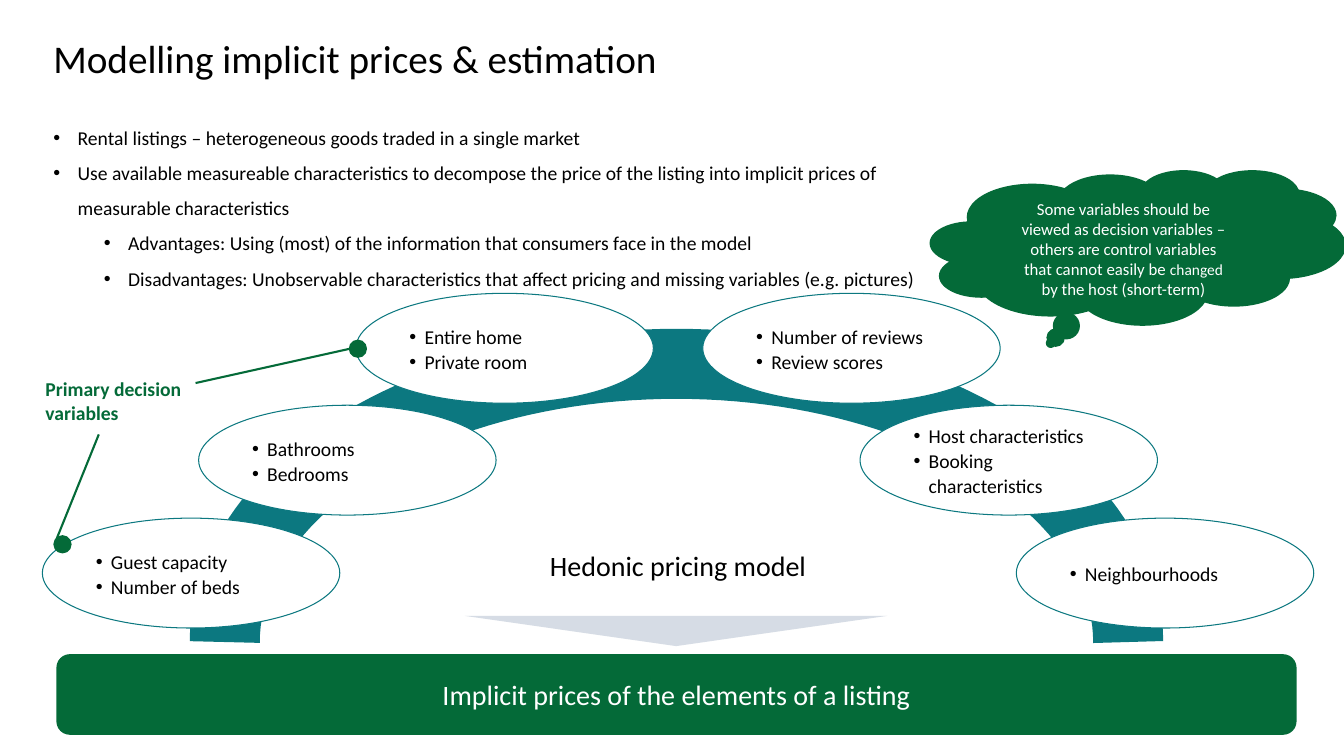
import math
from lxml import etree
from pptx import Presentation
from pptx import util as u
from pptx.dml.color import RGBColor
from pptx.enum import shapes, text
from pptx.oxml import ns

PX = 9144
GREEN, TEAL, GREY, BLACK, WHITE = "046A38", "0C7880", "D6DCE5", "000000", "FFFFFF"
MARGINS = ("margin_left", "margin_top", "margin_right", "margin_bottom")
CENTER = text.PP_ALIGN.CENTER
MIDDLE = text.MSO_ANCHOR.MIDDLE
SHAPE = shapes.MSO_SHAPE
ARCH_CENTER, ARCH_RADII = (671, 637), (448, 276)
MIRROR_SUM = 1345
OVAL_SIZE = (295, 109)
OVAL_PAIRS = [
    (42, 514, ["Guest capacity", "Number of beds"], ["Neighbourhoods"]),
    (197, 402, ["Bathrooms", "Bedrooms"],
     ["Host characteristics", "Booking characteristics"]),
    (353, 291, ["Entire home", "Private room"],
     ["Number of reviews", "Review scores"]),
]
POINTS = [
    ("Rental listings – heterogeneous goods traded in a single market", 24),
    ("Use available measureable characteristics to decompose the price of the "
     "listing into implicit prices of measurable characteristics", 24),
    ("Advantages: Using (most) of the information that consumers face in the model", 74),
    ("Disadvantages: Unobservable characteristics that affect pricing and "
     "missing variables (e.g. pictures)", 74),
]
CALLOUT_RUNS = [
    ("Some variables should be viewed as decision variables – others are control "
     "variables that cannot easily be ", 12),
    ("changed", 11),
    (" by the host (short-term)", 12),
]


def px(*lengths):
    return [u.Emu(length * PX) for length in lengths]


def rgb(code):
    return RGBColor.from_string(code)


def apply(target, formats):
    for name, value in formats.items():
        setattr(target, name, value)


def set_frame(owner, insets, anchor=MIDDLE):
    frame = owner.text_frame
    apply(frame, {"word_wrap": True, "vertical_anchor": anchor,
                  **dict(zip(MARGINS, px(*insets)))})
    return frame


def add_bullet(paragraph, left, hang):
    props = paragraph._p.get_or_add_pPr()
    props.set("marL", str(left * PX))
    props.set("indent", str(-hang * PX))
    etree.SubElement(props, ns.qn("a:buFont")).set("typeface", "Arial")
    etree.SubElement(props, ns.qn("a:buChar")).set("char", "•")


def write(frame, paragraphs, color, size=14, bold=False, hang=0, **layout):
    for index, (runs, left) in enumerate(paragraphs):
        paragraph = frame.paragraphs[0] if index == 0 else frame.add_paragraph()
        if hang:
            add_bullet(paragraph, left, hang)
        apply(paragraph, layout)
        for words, points in ([(runs, size)] if isinstance(runs, str) else runs):
            run = paragraph.add_run()
            run.text = words
            apply(run.font, {"name": "Calibri", "size": u.Pt(points), "bold": bold})
            run.font.color.rgb = rgb(color)


def add_label(slide, box, inset, anchor, paragraphs, color, **formats):
    label = slide.shapes.add_textbox(*px(*box))
    write(set_frame(label, [inset] * 4, anchor), paragraphs, color, **formats)


def paint(part, fill, line=None, width=1):
    part.shadow.inherit = False
    if fill:
        part.fill.solid()
        part.fill.fore_color.rgb = rgb(fill)
    else:
        part.fill.background()
    if line:
        part.line.color.rgb = rgb(line)
        part.line.width = u.Pt(width)
    else:
        part.line.fill.background()


def add_part(slide, kind, box, fill, line=None, width=1):
    part = slide.shapes.add_shape(kind, *px(*box))
    paint(part, fill, line, width)
    return part


def add_arch(slide):
    (cx, cy), (rx, ry) = ARCH_CENTER, ARCH_RADII
    angles = [math.radians(180 - degree) for degree in range(0, 181, 2)]
    curve = [(round((cx + rx * math.cos(a)) * PX), round((cy - ry * math.sin(a)) * PX))
             for a in angles]
    builder = slide.shapes.build_freeform(*curve[0])
    builder.add_line_segments(curve[1:], close=False)
    paint(builder.convert_to_shape(), None, TEAL, 50)


def add_oval(slide, x, y, features):
    oval = add_part(slide, SHAPE.OVAL, (x, y, *OVAL_SIZE), WHITE, TEAL, 0.75)
    write(set_frame(oval, [10] * 4), [(feature, 15) for feature in features], BLACK,
          hang=15, line_spacing=1.06, alignment=text.PP_ALIGN.LEFT)


def add_pointer(slide, dot_corner, start, end):
    add_part(slide, SHAPE.OVAL, (*dot_corner, 16, 16), GREEN, GREEN, 1.5)
    pointer = slide.shapes.add_connector(
        shapes.MSO_CONNECTOR.STRAIGHT, *px(*start, *end))
    pointer.line.color.rgb = rgb(GREEN)
    pointer.line.width = u.Pt(1.5)
    etree.SubElement(pointer._element.spPr, ns.qn("a:effectLst"))


def add_callout(slide):
    cloud = add_part(slide, SHAPE.CLOUD_CALLOUT, (923, 169, 411, 153), GREEN, GREEN)
    cloud.adjustments[0] = -0.21
    cloud.adjustments[1] = 0.62
    write(set_frame(cloud, (29, 10, 28, 0)), [(CALLOUT_RUNS, 0)], WHITE,
          alignment=CENTER)


def add_result_bar(slide):
    bar = add_part(slide, SHAPE.ROUNDED_RECTANGLE, (56, 649, 1230, 80), GREEN)
    write(set_frame(bar, [10] * 4), [("Implicit prices of the elements of a listing", 0)],
          WHITE, size=20, alignment=CENTER)


def main():
    deck = Presentation()
    deck.slide_width, deck.slide_height = px(1333, 750)
    slide = deck.slides.add_slide(deck.slide_layouts[6])
    top = text.MSO_ANCHOR.TOP

    add_label(slide, (48, 29, 736, 59), 5, top,
              [("Modelling implicit prices & estimation", 0)], BLACK, size=28)
    add_label(slide, (48, 108, 875, 187), 5, top, POINTS, BLACK,
              hang=24, line_spacing=1.5)
    add_arch(slide)
    arrow = add_part(slide, SHAPE.ISOSCELES_TRIANGLE, (461, 611, 419, 30), GREY)
    arrow.rotation = 180
    for x, y, left_features, right_features in OVAL_PAIRS:
        add_oval(slide, x, y, left_features)
        add_oval(slide, MIRROR_SUM - OVAL_SIZE[0] - x, y, right_features)
    add_result_bar(slide)
    add_label(slide, (479, 544, 387, 33), 0, MIDDLE,
              [("Hedonic pricing model", 0)], BLACK, size=20, alignment=CENTER)
    add_label(slide, (45, 374, 151, 47), 0, top,
              [("Primary decision variables", 0)], GREEN, bold=True)
    add_pointer(slide, (54, 532), (56, 535), (98, 431))
    add_pointer(slide, (347, 338), (347, 346), (194, 380))
    add_callout(slide)
    deck.save("out.pptx")


if __name__ == "__main__":
    main()
